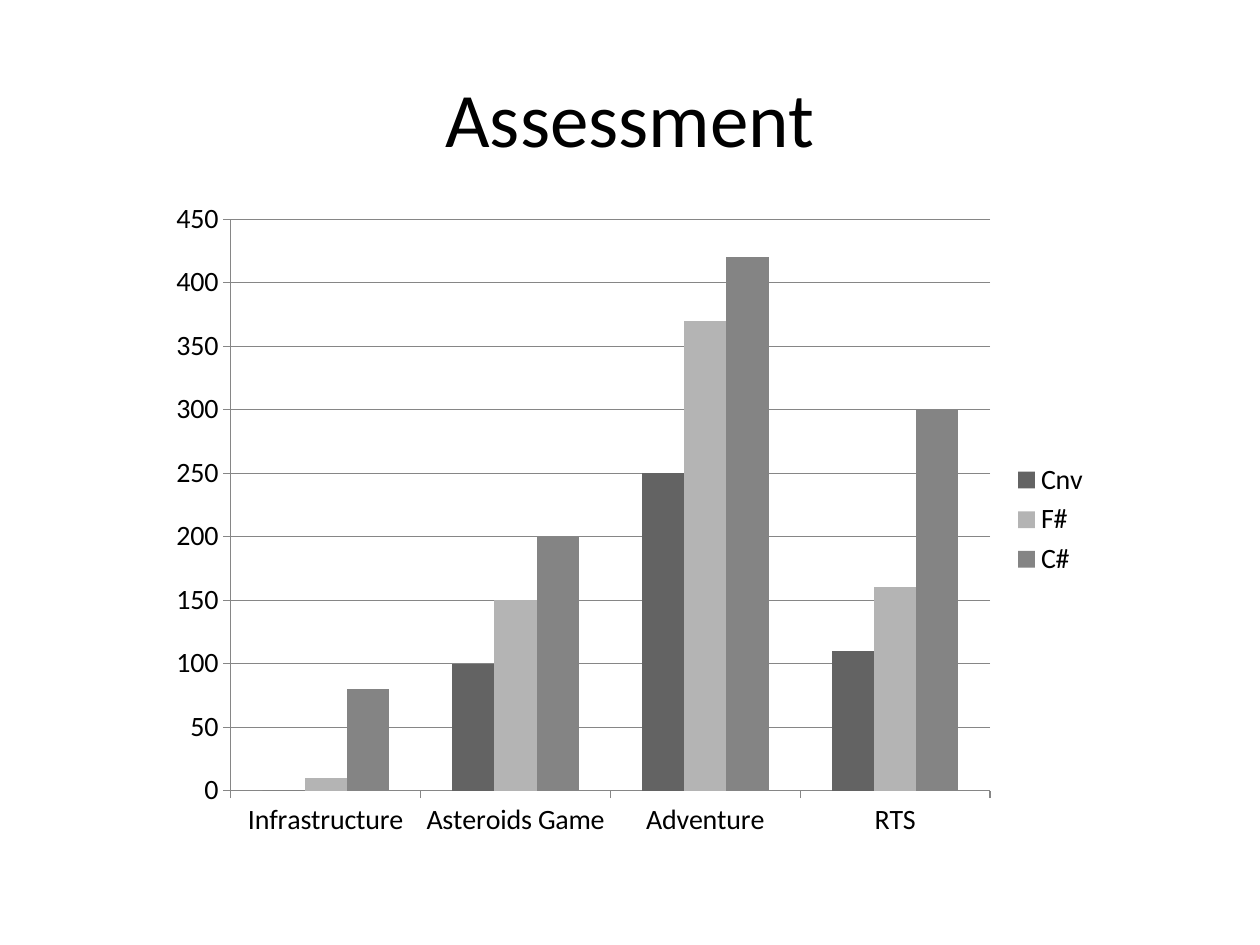
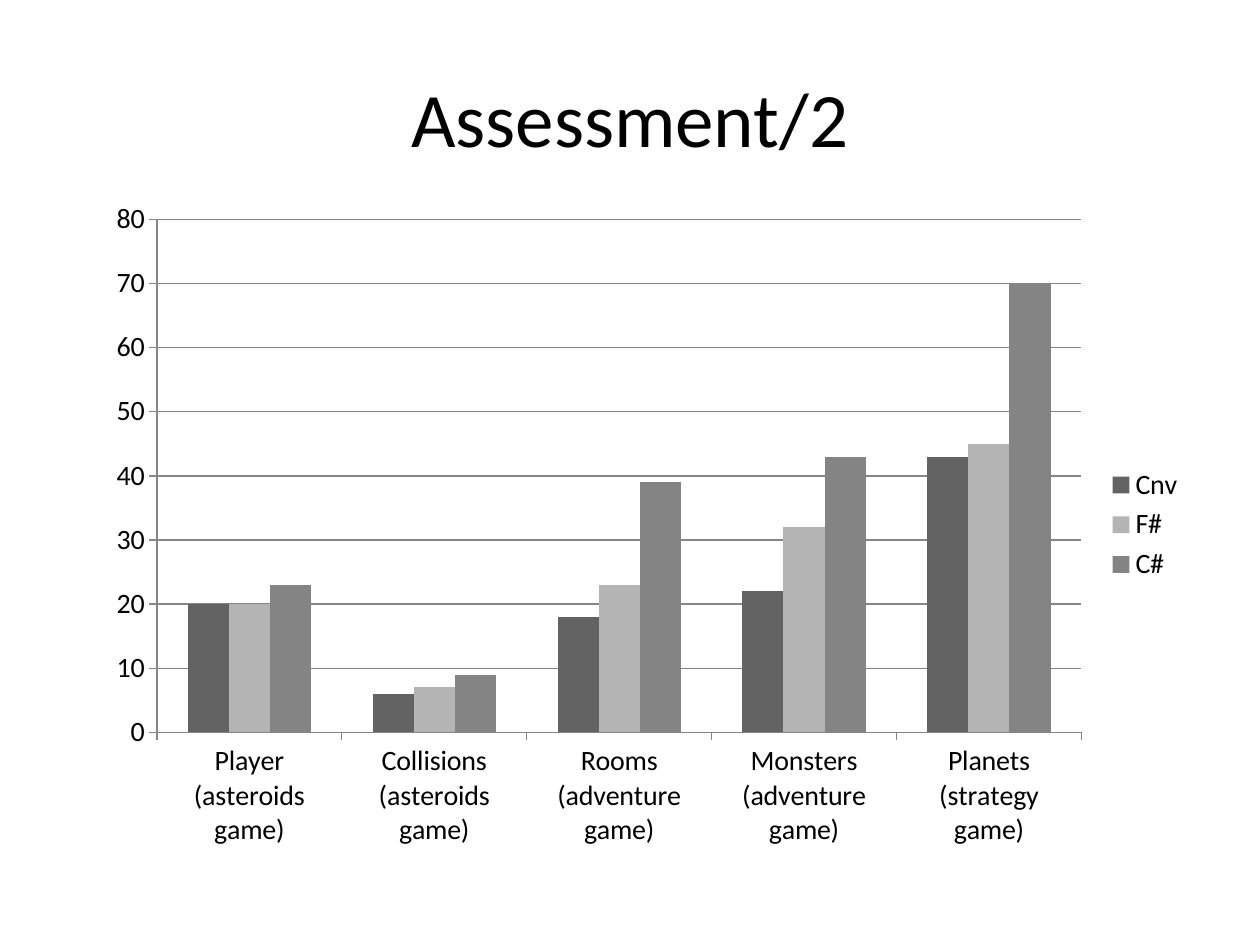
from pptx import Presentation
from pptx.chart.data import CategoryChartData
from pptx.dml.color import RGBColor
from pptx.enum import chart as ch, text as tx
from pptx.util import Inches, Pt

# Content: title, chart box, categories, values per language
SLIDES = [
    ("Assessment", (1.25, 1.5, 7.5, 5.25),
     ["Infrastructure", "Asteroids Game", "Adventure", "RTS"],
     {"Cnv": (0, 100, 250, 110),
      "F#": (10, 150, 370, 160),
      "C#": (80, 200, 420, 300)}),
    ("Assessment/2", (0.75, 1.5, 8.75, 5.33),
     ["Player (asteroids game)", "Collisions (asteroids game)",
      "Rooms (adventure game)", "Monsters (adventure game)",
      "Planets (strategy game)"],
     {"Cnv": (20, 6, 18, 22, 43),
      "F#": (20, 7, 23, 32, 45),
      "C#": (23, 9, 39, 43, 70)}),
]

# Shared style
FONT = "Calibri"
BLACK = RGBColor(0x00, 0x00, 0x00)
WHITE = RGBColor(0xFF, 0xFF, 0xFF)
RULE = RGBColor(0x86, 0x86, 0x86)
BARS = [RGBColor(0x63, 0x63, 0x63), RGBColor(0xB4, 0xB4, 0xB4),
        RGBColor(0x84, 0x84, 0x84)]
TITLE_BOX = (0.5, 0.3, 9, 1.25)


def style(font, size):
    font.name, font.size = FONT, Pt(size)
    font.color.rgb = BLACK


def rule(line):
    line.color.rgb = RULE
    line.width = Pt(0.75)


def add_title(slide, title):
    frame = slide.shapes.add_textbox(*map(Inches, TITLE_BOX)).text_frame
    frame.word_wrap = True
    frame.vertical_anchor = tx.MSO_ANCHOR.MIDDLE
    para = frame.paragraphs[0]
    para.text = title
    para.alignment = tx.PP_ALIGN.CENTER
    style(para.font, 44)


def add_bars(slide, box, cats, series):
    data = CategoryChartData()
    data.categories = cats
    for name, vals in series.items():
        data.add_series(name, vals)
    chart = slide.shapes.add_chart(
        ch.XL_CHART_TYPE.COLUMN_CLUSTERED, *map(Inches, box), data).chart
    chart.has_title = False
    style(chart.font, 16)

    # Legend
    chart.has_legend = True
    chart.legend.position = ch.XL_LEGEND_POSITION.RIGHT
    chart.legend.include_in_layout = False

    # Axes and grid
    for axis in (chart.category_axis, chart.value_axis):
        axis.major_tick_mark = ch.XL_TICK_MARK.OUTSIDE
        axis.minor_tick_mark = ch.XL_TICK_MARK.NONE
        rule(axis.format.line)
    chart.value_axis.has_major_gridlines = True
    rule(chart.value_axis.major_gridlines.format.line)

    # Columns
    plot = chart.plots[0]
    plot.vary_by_categories = False
    plot.gap_width = 150
    plot.overlap = 0
    for bar, color in zip(plot.series, BARS):
        bar.invert_if_negative = False
        bar.format.fill.solid()
        bar.format.fill.fore_color.rgb = color


def main():
    deck = Presentation()
    deck.slide_width, deck.slide_height = Inches(10), Inches(7.5)
    for title, box, cats, series in SLIDES:
        slide = deck.slides.add_slide(deck.slide_layouts[6])
        slide.background.fill.solid()
        slide.background.fill.fore_color.rgb = WHITE
        add_title(slide, title)
        add_bars(slide, box, cats, series)
    deck.save("out.pptx")


if __name__ == "__main__":
    main()
